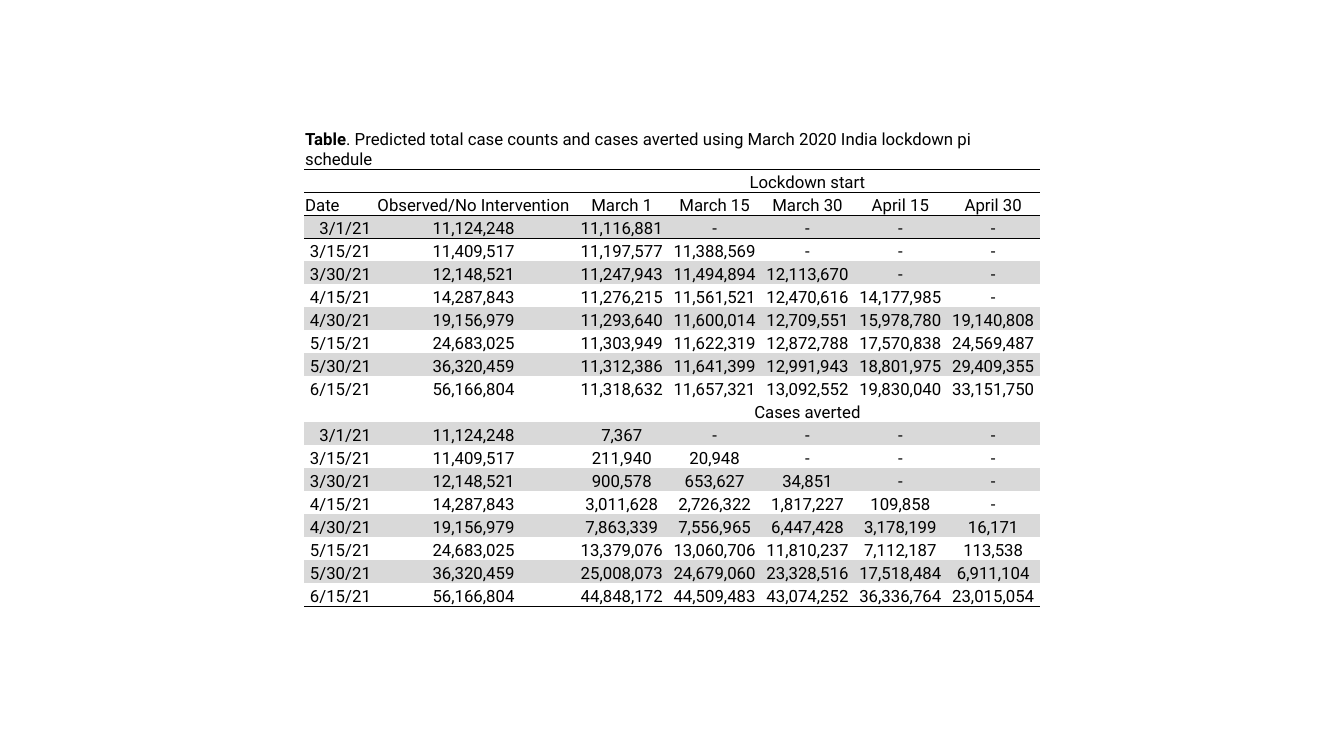
from lxml.etree import SubElement
from pptx import Presentation
from pptx.dml.color import RGBColor
from pptx.enum.text import MSO_ANCHOR, PP_ALIGN
from pptx.oxml import parse_xml
from pptx.oxml.ns import nsdecls, qn
from pptx.util import Cm, Pt

COLORS = {"text": "000000", "band": "D9D9D9"}
NO_STYLE = "{2D5ABB26-0587-4C30-8999-92F81FD0307C}"
CAPTION = ("Table", ". Predicted total case counts and cases averted using "
           "March 2020 India lockdown pi schedule")
HEADERS = ["Date", "Observed/No Intervention", "March 1", "March 15",
           "March 30", "April 15", "April 30"]
CASES = [
    ("3/1/21", 11124248, [11116881]),
    ("3/15/21", 11409517, [11197577, 11388569]),
    ("3/30/21", 12148521, [11247943, 11494894, 12113670]),
    ("4/15/21", 14287843, [11276215, 11561521, 12470616, 14177985]),
    ("4/30/21", 19156979, [11293640, 11600014, 12709551, 15978780, 19140808]),
    ("5/15/21", 24683025, [11303949, 11622319, 12872788, 17570838, 24569487]),
    ("5/30/21", 36320459, [11312386, 11641399, 12991943, 18801975, 29409355]),
    ("6/15/21", 56166804, [11318632, 11657321, 13092552, 19830040, 33151750]),
]
STARTS = 5
LAST_COL = len(HEADERS) - 1
COL_WIDTHS = [1.7, 5.13] + [2.34] * STARTS
ROW_HEIGHT, LAST_HEIGHT = 0.58, 0.53
PREDICTED_ROW = 3
AVERTED_TITLE_ROW = PREDICTED_ROW + len(CASES)
AVERTED_ROW = AVERTED_TITLE_ROW + 1
END_ROW = AVERTED_ROW + len(CASES)


class TableSlide:
    def __init__(self, prs, font="Roboto", size=12):
        self.s = prs.slides.add_slide(prs.slide_layouts[6])
        self.font, self.size = font, size

    def table(self, left, top, widths, heights):
        frame = self.s.shapes.add_table(
            len(heights), len(widths), Cm(left), Cm(top),
            Cm(sum(widths)), Cm(sum(heights)))
        self.tbl = frame.table
        self.tbl.first_row = self.tbl.horz_banding = False
        frame._element.find(".//" + qn("a:tableStyleId")).text = NO_STYLE
        for col, width in zip(self.tbl.columns, widths):
            col.width = Cm(width)
        for row, height in zip(self.tbl.rows, heights):
            row.height = Cm(height)
        for cell in self.tbl.iter_cells():
            cell.margin_left = cell.margin_right = cell.margin_top = Cm(0.02)
            cell.margin_bottom = 0
            cell.vertical_anchor = MSO_ANCHOR.BOTTOM
            cell.fill.background()
            end = SubElement(cell.text_frame.paragraphs[0]._p, qn("a:endParaRPr"))
            end.set("sz", str(self.size * 100))

    def text(self, row, col, *parts, align=PP_ALIGN.CENTER):
        p = self.tbl.cell(row, col).text_frame.paragraphs[0]
        p.alignment = align
        for part in parts:
            r = p.add_run()
            r.text = part
            r.font.name, r.font.size = self.font, Pt(self.size)
            r.font.color.rgb = RGBColor.from_string(COLORS["text"])
        return p

    def span(self, row, first, last):
        self.tbl.cell(row, first).merge(self.tbl.cell(row, last))

    def band(self, row):
        for cell in self.tbl.rows[row].cells:
            cell.fill.solid()
            cell.fill.fore_color.rgb = RGBColor.from_string(COLORS["band"])

    def rule(self, row, first=0):
        for col in range(first, LAST_COL + 1):
            self.border(row, col, "lnB")
            self.border(row + 1, col, "lnT")

    def border(self, row, col, side):
        tcPr = self.tbl.cell(row, col)._tc.get_or_add_tcPr()
        tcPr.insert(0, parse_xml(
            f'<a:{side} {nsdecls("a")} w="{Pt(0.5)}"><a:solidFill>'
            f'<a:srgbClr val="{COLORS["text"]}"/></a:solidFill></a:{side}>'))

    def data(self, row, date, observed, counts):
        self.text(row, 0, date, align=PP_ALIGN.RIGHT)
        self.text(row, 1, f"{observed:,}")
        values = [f"{n:,}" for n in counts] + ["-"] * (STARTS - len(counts))
        for col, value in enumerate(values, 2):
            self.text(row, col, value)


def main():
    prs = Presentation()
    prs.slide_width, prs.slide_height = Cm(33.87), Cm(19.05)
    slide = TableSlide(prs)
    slide.table(7.67, 3.25, COL_WIDTHS, [ROW_HEIGHT] * END_ROW + [LAST_HEIGHT])

    slide.span(0, 0, LAST_COL)
    caption = slide.text(0, 0, *CAPTION, align=PP_ALIGN.LEFT)
    caption.runs[0].font.bold = True
    for row, title in ((1, "Lockdown start"), (AVERTED_TITLE_ROW, "Cases averted")):
        slide.span(row, 2, LAST_COL)
        slide.text(row, 2, title)
    for col, header in enumerate(HEADERS):
        slide.text(2, col, header,
                   align=PP_ALIGN.CENTER if col else PP_ALIGN.LEFT)

    for i, (date, observed, predicted) in enumerate(CASES):
        averted = [observed - n for n in predicted]
        for start, counts in ((PREDICTED_ROW, predicted), (AVERTED_ROW, averted)):
            slide.data(start + i, date, observed, counts)
            if i % 2 == 0:
                slide.band(start + i)

    for row, first in ((0, 0), (1, 2), (2, 0), (END_ROW - 1, 0)):
        slide.rule(row, first)
    prs.save("out.pptx")


if __name__ == "__main__":
    main()
